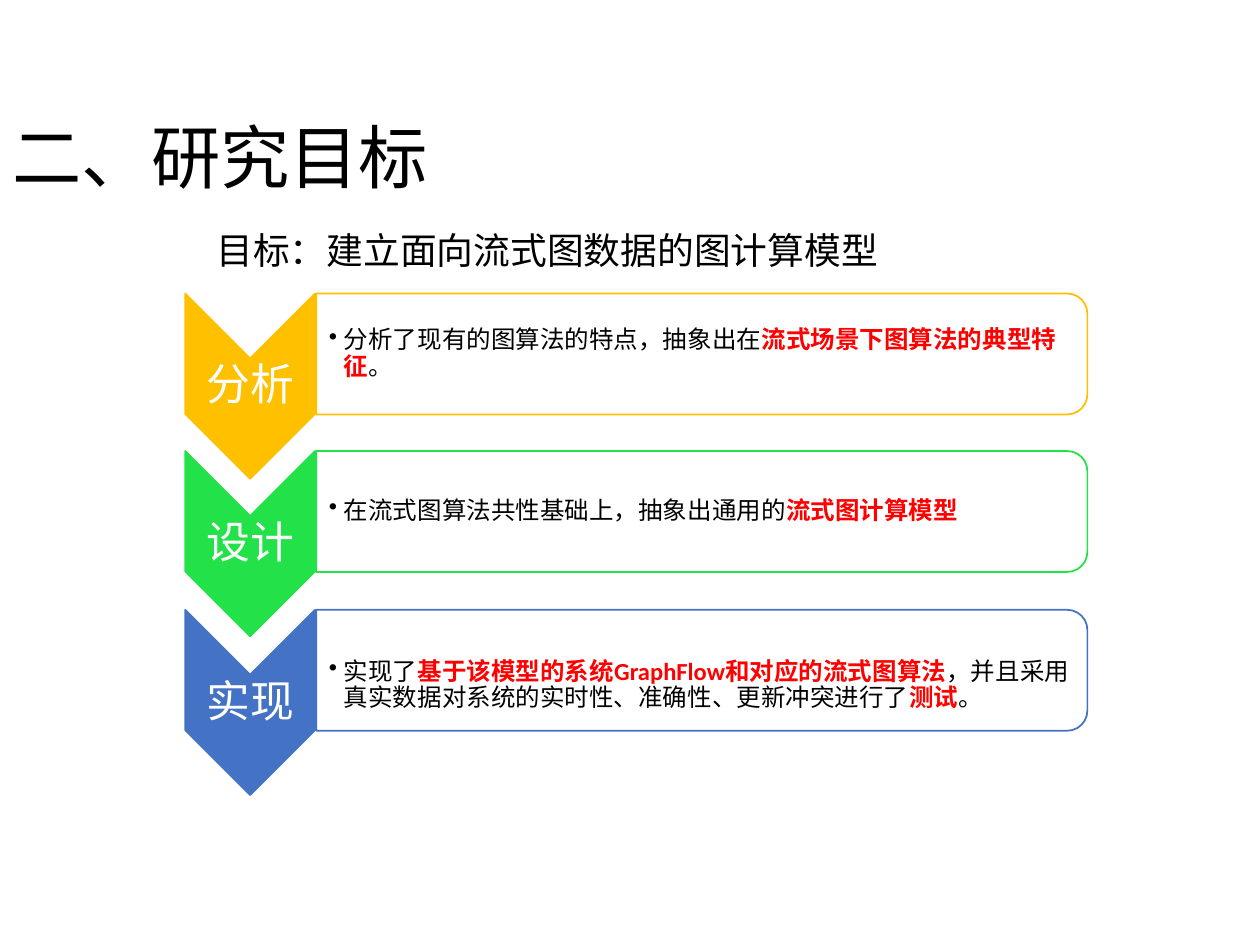
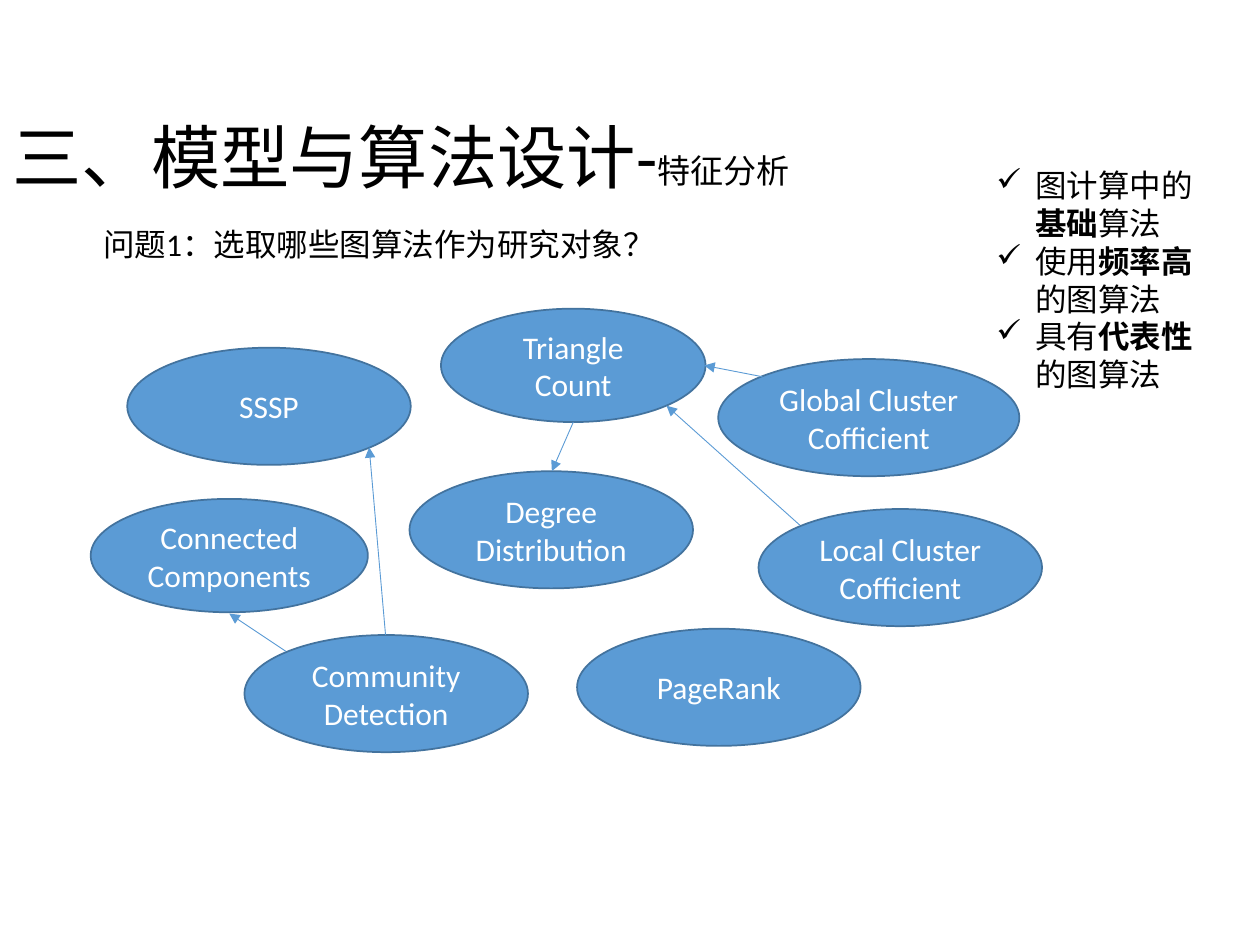
"""Build two slides on the goals and the algorithm choice of a graph study."""
from lxml import etree
from pptx import Presentation
from pptx.dml.color import RGBColor
from pptx.enum.shapes import MSO_CONNECTOR, MSO_SHAPE
from pptx.enum.text import MSO_ANCHOR, PP_ALIGN
from pptx.oxml.ns import qn
from pptx.util import Pt

PX = 9144
FONT = "Calibri"
BLACK, WHITE, RED = "000000", "FFFFFF", "FF0000"
BLUE, NAVY = "5B9BD5", "43739E"
LEFT, CENTER = PP_ALIGN.LEFT, PP_ALIGN.CENTER
TOP, MIDDLE = MSO_ANCHOR.TOP, MSO_ANCHOR.MIDDLE
CHEVRON, OVAL = MSO_SHAPE.CHEVRON, MSO_SHAPE.OVAL
PANEL = MSO_SHAPE.ROUND_2_SAME_RECTANGLE
STRAIGHT = MSO_CONNECTOR.STRAIGHT
PAD = (10, 5, 10, 5)


def draw(slide, kind, box, fill, edge, turn=0):
    shape = slide.shapes.add_shape(kind, *[n * PX for n in box])
    shape.shadow.inherit = False
    shape.rotation = turn
    shape.fill.solid()
    shape.fill.fore_color.rgb = RGBColor.from_string(fill)
    shape.line.color.rgb = RGBColor.from_string(edge)
    shape.line.width = Pt(1)
    return shape


def write(shape, lines, size, tint=BLACK, loud=None, align=LEFT,
          anchor=TOP, pad=PAD, space=1.0, mark=None, hang=0):
    frame = shape.text_frame
    frame.word_wrap = True
    frame.vertical_anchor = anchor
    (frame.margin_left, frame.margin_top,
     frame.margin_right, frame.margin_bottom) = [n * PX for n in pad]
    for row, line in enumerate(lines):
        para = frame.add_paragraph() if row else frame.paragraphs[0]
        para.alignment = align
        para.line_spacing = space
        if mark:
            props = para._p.get_or_add_pPr()
            props.set("marL", str(hang * PX))
            props.set("indent", str(-hang * PX))
            etree.SubElement(props, qn("a:buChar")).set("char", mark)
        for spot, part in enumerate(line.split("|")):
            if not part:
                continue
            style = loud if spot % 2 else (size, tint, False)
            run = para.add_run()
            run.text = part
            run.font.name = FONT
            run.font.size = Pt(style[0])
            run.font.color.rgb = RGBColor.from_string(style[1])
            run.font.bold = style[2]


deck = Presentation()
deck.slide_width, deck.slide_height = 1000 * PX, 750 * PX
blank = deck.slide_layouts[6]

heads = [
    ("二、研究目标", "目标：建立面向流式图数据的图计算模型", 21, (162, 176, 670, 45)),
    ("三、模型与算法设计-|特征分析", "问题1：选取哪些图算法作为研究对象？", 18, (72, 174, 666, 40)),
]
slides = []
for title, lead, size, box in heads:
    slide = deck.slides.add_slide(blank)
    slides.append(slide)
    name = slide.shapes.add_textbox(0, 92 * PX, 862 * PX, 71 * PX)
    write(name, [title], 39.6, loud=(18.9, BLACK, False), anchor=MIDDLE, space=0.9)
    write(slide.shapes.add_textbox(*[n * PX for n in box]), [lead], size)
goals, model = slides

steps = [
    ("分析", "FFC000", 1, "分析了现有的图算法的特点，抽象出在|流式场景下图算法的典型特征|。"),
    ("设计", "23E148", 1, "在流式图算法共性基础上，抽象出通用的|流式图计算模型"),
    ("实现", "4472C4", 25, "实现了|基于该模型的系统GraphFlow和对应的流式图算法|，"
     "并且采用真实数据对系统的实时性、准确性、更新冲突进行了|测试|。"),
]
for row, (label, tint, drop, body) in enumerate(steps):
    top = 255 + row * 251 // 2
    draw(goals, CHEVRON, (125, top, 147, 103), tint, tint, 90)
    tag = goals.shapes.add_textbox(147 * PX, (top + 30) * PX, 103 * PX, 44 * PX)
    write(tag, [label], 25, WHITE, align=CENTER, anchor=MIDDLE, pad=(2, 2, 2, 2), space=0.9)
    draw(goals, PANEL, (509, top - 280, 96, 612), WHITE, tint, 90)
    note = goals.shapes.add_textbox(250 * PX, (top - 17) * PX, 607 * PX, 86 * PX)
    write(note, [body], 14, loud=(14, RED, True), anchor=MIDDLE,
          pad=(11, drop, 1, 1), space=0.9, mark="•", hang=12)

nodes = [
    (325, 374, 225, 93, ["Degree Distribution"]),
    (350, 245, 210, 90, ["Triangle Count"]),
    (458, 499, 225, 93, ["PageRank"]),
    (101, 276, 225, 93, ["SSSP"]),
    (72, 396, 220, 90, ["Connected Components"]),
    (602, 404, 225, 93, ["Local Cluster", "Cofficient"]),
    (570, 285, 239, 93, ["Global Cluster", "Cofficient"]),
    (194, 504, 225, 93, ["Community", "Detection"]),
]
for *box, lines in nodes:
    node = draw(model, OVAL, box, BLUE, NAVY)
    write(node, lines, 18, WHITE, align=CENTER, anchor=MIDDLE)

links = [
    (605, 299, 559, 290),
    (635, 417, 529, 322),
    (227, 517, 182, 487),
    (455, 335, 438, 374),
    (306, 504, 293, 355),
]
for ends in links:
    link = model.shapes.add_connector(STRAIGHT, *[n * PX for n in ends])
    link.line.color.rgb = RGBColor.from_string(BLUE)
    link.line.width = Pt(0.5)
    etree.SubElement(link.line._get_or_add_ln(), qn("a:tailEnd")).set("type", "triangle")
    etree.SubElement(link._element.spPr, qn("a:effectLst"))

tests = model.shapes.add_textbox(781 * PX, 127 * PX, 188 * PX, 192 * PX)
write(tests, ["图计算中的|基础|算法", "使用|频率高|的图算法", "具有|代表性|的图算法"],
      18, loud=(18, BLACK, True), mark="✓", hang=31)

deck.save("out.pptx")
